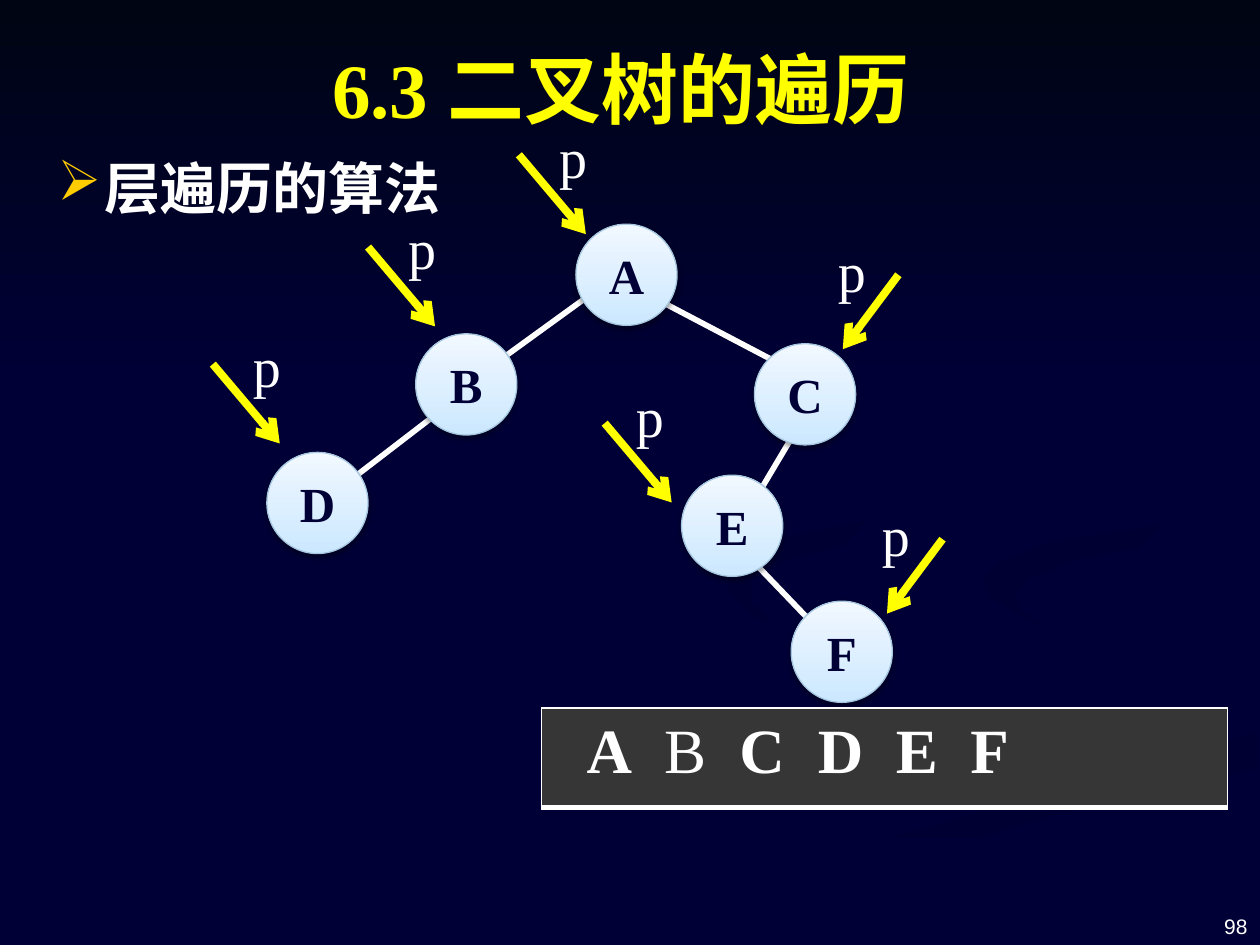
import pptx
import pptx.dml.color
import pptx.enum.shapes
import pptx.enum.text
import pptx.oxml.ns
import pptx.util
from lxml import etree

Cm, Pt = pptx.util.Cm, pptx.util.Pt
ALIGN, ANCHOR = pptx.enum.text.PP_ALIGN, pptx.enum.text.MSO_ANCHOR
SHAPE = pptx.enum.shapes.MSO_SHAPE
COLORS = {
    "night": "000036", "sky": "000514", "shade": "000032", "white": "FFFFFF",
    "yellow": "FFFF00", "gold": "FFCC00", "pale": "F1F8FF", "ice": "CCE8FF",
    "rim": "A5C6DE", "band": "363636", "black": "000000",
}
SERIF = "Times New Roman"

SWOOSHES = [
    (270, [(12.78, 19.02), (14.5, 19.02), (15.6, 18.44), (17.65, 17.58), (20.85, 16.54),
           (25.35, 15.47), (25.35, 14.76), (23.77, 15.29), (20.24, 16.21), (17.68, 16.99),
           (15.21, 17.93)]),
    (315, [(19.84, 11.68), (19.96, 12.04), (20.47, 12.37), (20.98, 12.6), (20.55, 12.29),
           (20.45, 11.99), (20.73, 11.66), (21.82, 11.25), (23.77, 10.9), (25.35, 10.67),
           (25.35, 10.21), (23.7, 10.54), (21.21, 10.92), (20.09, 11.35)]),
    (315, [(17.35, 10.92), (19.96, 10.46), (21.72, 9.93), (22.58, 9.19), (22.68, 8.51),
           (22.17, 7.59), (20.85, 6.63), (19.35, 5.92), (20.98, 6.76), (22.1, 7.59),
           (22.58, 8.51), (22.25, 9.14), (21.08, 9.7), (18.62, 10.26), (15.88, 10.82),
           (14.83, 11.33), (14.68, 11.89), (15.14, 12.4), (15.8, 12.7), (15.16, 12.19),
           (15.14, 11.71), (15.85, 11.28)]),
]
NODES = {"A": (11.61, 4.52), "B": (8.38, 6.73), "C": (15.21, 6.93),
         "D": (5.38, 9.12), "E": (13.74, 9.58), "F": (15.95, 12.12)}
BRANCHES = [
    ((12.45, 5.54), (9.4, 7.75)), ((12.93, 5.87), (16.51, 7.75)),
    ((16.51, 7.9), (14.71, 10.92)), ((14.58, 10.69), (16.97, 13.18)),
    ((9.12, 8.1), (5.84, 10.62)),
]
RIGHTWARD, LEFTWARD = (1.35, 1.6), (-1.12, 1.5)
POINTERS = [
    ((10.46, 3.12), RIGHTWARD, (11.02, 2.34)), ((7.42, 4.98), RIGHTWARD, (7.98, 4.17)),
    ((18.11, 5.54), LEFTWARD, (16.64, 4.65)), ((4.29, 7.34), RIGHTWARD, (4.85, 6.55)),
    ((12.19, 8.53), RIGHTWARD, (12.57, 7.57)), ((19.0, 10.87), LEFTWARD, (17.53, 9.96)),
]
VISITS = {"A": 1.45, "B": 1.37, "C": 1.45, "D": 1.45, "E": 1.37, "F": 1.3}


def rgb(name):
    """Return the named colour."""
    return pptx.dml.color.RGBColor.from_string(COLORS[name])


def add_xml(parent, tag, **attributes):
    """Append a drawing element to its parent and return it."""
    return etree.SubElement(parent, pptx.oxml.ns.qn(tag), attributes)


class TreeSlide:
    """Hold the style and the current slide, and draw each kind of element."""

    def __init__(self, deck):
        """Start a title-only slide on the dark background."""
        self.slide = deck.slides.add_slide(deck.slide_layouts[5])
        self.shapes = self.slide.shapes
        self.slide.background.fill.solid()
        self.slide.background.fill.fore_color.rgb = rgb("night")

    def add_words(self, frame, words, size, color="white", bold=False, align=ALIGN.LEFT,
                  font=SERIF):
        """Add one formatted run to the first paragraph of a frame."""
        paragraph = frame.paragraphs[0]
        paragraph.alignment = align
        run = paragraph.add_run()
        run.text = words
        run.font.size, run.font.bold, run.font.name = Pt(size), bold, font
        run.font.color.rgb = rgb(color)

    def blend(self, shape, first, last, angle):
        """Fill a shape with a two-colour gradient and drop its line and shadow."""
        shape.shadow.inherit = False
        shape.line.fill.background()
        shape.fill.gradient()
        shape.fill.gradient_angle = angle
        for stop, color in zip(shape.fill.gradient_stops, (first, last)):
            stop.color.rgb = rgb(color)

    def swoosh(self, angle, points):
        """Draw a faint background ribbon."""
        outline = [(Cm(x), Cm(y)) for x, y in points]
        builder = self.shapes.build_freeform(*outline[0])
        builder.add_line_segments(outline[1:])
        self.blend(builder.convert_to_shape(), "shade", "night", angle)

    def horizon(self, width, height):
        """Draw the darker band along the top."""
        sky = self.shapes.add_shape(SHAPE.RECTANGLE, 0, 0, Cm(width), Cm(height))
        self.blend(sky, "sky", "night", 270)

    def title(self, words, left, top, width, height):
        """Place the title above the background parts."""
        heading = self.shapes.title
        heading.left, heading.top = Cm(left), Cm(top)
        heading.width, heading.height = Cm(width), Cm(height)
        heading.text_frame.vertical_anchor = ANCHOR.MIDDLE
        self.add_words(heading.text_frame, words, 44, "yellow", True, ALIGN.CENTER)
        heading.element.getparent().append(heading.element)

    def text(self, words, left, top, width, height, size, wrap=False, anchor=ANCHOR.TOP,
             **style):
        """Add a text box and return its frame."""
        frame = self.shapes.add_textbox(Cm(left), Cm(top), Cm(width), Cm(height)).text_frame
        frame.word_wrap, frame.vertical_anchor = wrap, anchor
        self.add_words(frame, words, size, **style)
        return frame

    def bullet(self, words, left, top, width, height):
        """Add a bulleted heading."""
        frame = self.text(words, left, top, width, height, 32, wrap=True, bold=True)
        properties = frame.paragraphs[0]._p.get_or_add_pPr()
        properties.set("marL", str(Cm(0.95)))
        properties.set("indent", str(-Cm(0.95)))
        add_xml(add_xml(properties, "a:buClr"), "a:srgbClr", val=COLORS["gold"])
        add_xml(properties, "a:buChar", char="➢")

    def line(self, start, end, color, width, arrow=False):
        """Draw a straight line, with an arrowhead at its end if wanted."""
        stroke = self.shapes.add_connector(
            pptx.enum.shapes.MSO_CONNECTOR.STRAIGHT, *map(Cm, start + end))
        stroke.line.color.rgb = rgb(color)
        stroke.line.width = Pt(width)
        if arrow:
            add_xml(stroke.line._get_or_add_ln(), "a:tailEnd", type="arrow")
        add_xml(stroke.element.spPr, "a:effectLst")

    def node(self, letter, left, top, size=2.04):
        """Draw a tree node with its soft shadow."""
        disc = self.shapes.add_shape(SHAPE.OVAL, Cm(left), Cm(top), Cm(size), Cm(size))
        self.blend(disc, "ice", "pale", 90)
        disc.line.color.rgb = rgb("rim")
        disc.line.width = Pt(0.75)
        effects = disc.element.spPr.find(pptx.oxml.ns.qn("a:effectLst"))
        glow = add_xml(effects, "a:outerShdw", blurRad=str(Pt(3.1)), dist=str(Pt(1.6)),
                       dir="5400000", rotWithShape="0")
        tint = add_xml(glow, "a:srgbClr", val=COLORS["black"])
        add_xml(tint, "a:alpha", val="38000")
        disc.text_frame.vertical_anchor = ANCHOR.MIDDLE
        self.add_words(disc.text_frame, letter, 28, "night", True, ALIGN.CENTER)

    def pointer(self, start, step, label):
        """Draw a pointer arrow with its label."""
        end = (start[0] + step[0], start[1] + step[1])
        self.line(start, end, "yellow", 4.5, arrow=True)
        self.text("p", *label, 1.09, 1.63, 32)

    def queue(self, left, top, width, height):
        """Add the one-cell table behind the visited letters."""
        table = self.shapes.add_table(1, 1, Cm(left), Cm(top), Cm(width), Cm(height)).table
        cell = table.cell(0, 0)
        properties = cell._tc.get_or_add_tcPr()
        for side, weight in (("a:lnT", 1), ("a:lnB", 3)):
            border = add_xml(properties, side, w=str(Pt(weight)))
            add_xml(add_xml(border, "a:solidFill"), "a:srgbClr", val=COLORS["white"])
        cell.fill.solid()
        cell.fill.fore_color.rgb = rgb("band")


def main():
    """Build the slide and save it."""
    deck = pptx.Presentation()
    deck.slide_width, deck.slide_height = Cm(25.4), Cm(19.05)
    page = TreeSlide(deck)
    for angle, points in SWOOSHES:
        page.swoosh(angle, points)
    page.horizon(25.4, 7.82)
    page.title("6.3 二叉树的遍历", 1.09, 0.41, 22.86, 2.72)
    page.bullet("层遍历的算法", 0.91, 2.97, 22.86, 14.81)
    page.text("98", 19.48, 17.73, 5.92, 1.32, 12, wrap=True, anchor=ANCHOR.BOTTOM,
              align=ALIGN.RIGHT, font="Arial")
    for start, end in BRANCHES:
        page.line(start, end, "white", 3.25)
    for letter, corner in NODES.items():
        page.node(letter, *corner)
    page.queue(10.92, 14.27, 13.82, 2.01)
    left = 11.56
    for letter, width in VISITS.items():
        page.text(letter, left, 14.2, width, 1.8, 36, bold=letter != "B", align=ALIGN.CENTER)
        left += width + 0.13
    for start, step, label in POINTERS:
        page.pointer(start, step, label)
    deck.save("out.pptx")


if __name__ == "__main__":
    main()
